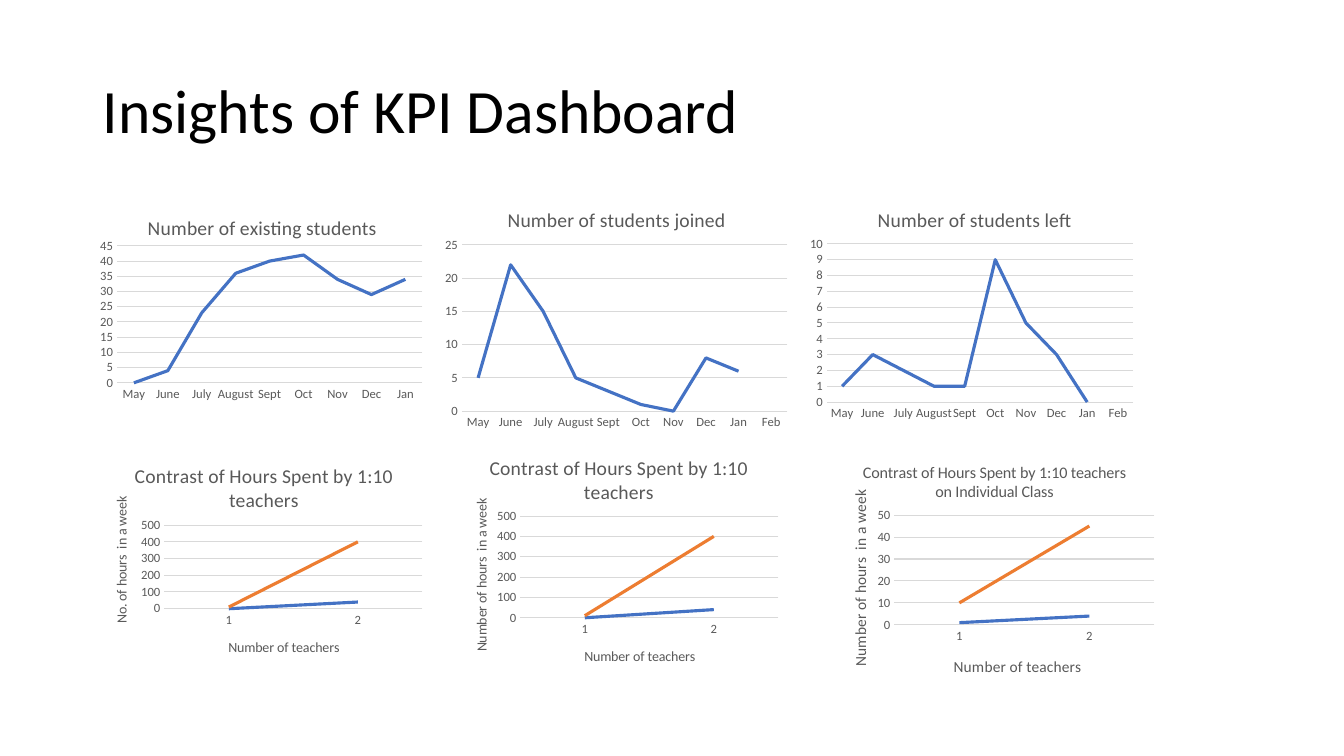
import lxml.etree
import pptx
import pptx.chart.data
import pptx.dml.color
import pptx.enum.chart
import pptx.enum.text
import pptx.oxml.ns
import pptx.util

Inches = pptx.util.Inches
Pt = pptx.util.Pt
qn = pptx.oxml.ns.qn

MONTHS = ["May", "June", "July", "August", "Sept", "Oct", "Nov", "Dec", "Jan", "Feb"]
CONTRAST = "Contrast of Hours Spent by 1:10 teachers"
YEARLY_HOURS = [[0, 40], [10, 400]]


def color(hex_value):
    return pptx.dml.color.RGBColor.from_string(hex_value)


class Dashboard:
    font = "Calibri"
    gray = "595959"
    grid = "D9D9D9"
    series_colors = ["4472C4", "ED7D31"]

    def __init__(self, presentation):
        self.slide = presentation.slides.add_slide(presentation.slide_layouts[5])

    def style(self, font, size, hex_value):
        font.name = self.font
        font.size = Pt(size)
        font.bold = False
        font.color.rgb = color(hex_value)

    def title(self, text, box):
        shape = self.slide.shapes.title
        shape.left, shape.top, shape.width, shape.height = map(Inches, box)
        frame = shape.text_frame
        frame.word_wrap = True
        frame.vertical_anchor = pptx.enum.text.MSO_ANCHOR.MIDDLE
        paragraph = frame.paragraphs[0]
        paragraph.alignment = pptx.enum.text.PP_ALIGN.LEFT
        paragraph.line_spacing = 0.9
        run = paragraph.add_run()
        run.text = text
        self.style(run.font, 44, "000000")

    def place(self, element, index, box, position, size=None):
        layout = element.find(qn("c:layout"))
        if layout is None:
            layout = lxml.etree.SubElement(element, qn("c:layout"))
            element.insert(index, layout)
        for child in list(layout):
            layout.remove(child)
        manual = lxml.etree.SubElement(layout, qn("c:manualLayout"))
        left, top, width, height = box
        entries = [("xMode", "edge"), ("yMode", "edge"),
                   ("x", (position[0] - left) / width), ("y", (position[1] - top) / height)]
        if size:
            entries.insert(0, ("layoutTarget", "inner"))
            entries += [("w", size[0] / width), ("h", size[1] / height)]
        for name, value in entries:
            text = value if isinstance(value, str) else f"{value:.4f}"
            lxml.etree.SubElement(manual, qn("c:" + name)).set("val", text)

    def heading(self, title, text, size, box, position):
        run = title.text_frame.paragraphs[0].add_run()
        run.text = text
        self.style(run.font, size, self.gray)
        self.place(title._element, 1, box, position)

    def axis(self, axis):
        axis.major_tick_mark = pptx.enum.chart.XL_TICK_MARK.NONE
        axis.minor_tick_mark = pptx.enum.chart.XL_TICK_MARK.NONE
        self.style(axis.tick_labels.font, 9, self.gray)

    def rule(self, line, hex_value, width):
        line.color.rgb = color(hex_value)
        line.width = Pt(width)

    def line_chart(self, box, plot, title, title_at, categories, names, rows, top, step, title_size=14):
        data = pptx.chart.data.CategoryChartData()
        data.categories = categories
        for name, values in zip(names, rows):
            data.add_series(name, values)
        chart = self.slide.shapes.add_chart(
            pptx.enum.chart.XL_CHART_TYPE.LINE, *map(Inches, box), data).chart
        self.style(chart.font, 10, "000000")
        chart.has_legend = False
        chart.has_title = True
        self.heading(chart.chart_title, title, title_size, box, title_at)
        chart.plots[0].vary_by_categories = False
        self.axis(chart.category_axis)
        self.rule(chart.category_axis.format.line, self.grid, 0.75)
        value_axis = chart.value_axis
        self.axis(value_axis)
        value_axis.format.line.fill.background()
        value_axis.minimum_scale = 0
        value_axis.maximum_scale = top
        value_axis.major_unit = step
        value_axis.has_major_gridlines = True
        self.rule(value_axis.major_gridlines.format.line, self.grid, 0.75)
        for series, hex_value in zip(chart.series, self.series_colors):
            series.smooth = False
            series.marker.style = pptx.enum.chart.XL_MARKER_STYLE.NONE
            self.rule(series.format.line, hex_value, 2.25)
        plot_area = chart._chartSpace.find(".//" + qn("c:plotArea"))
        self.place(plot_area, 0, box, plot[:2], plot[2:])
        return chart

    def student_chart(self, box, plot, title, title_at, values, top, step):
        self.line_chart(box, plot, title, title_at, MONTHS[:len(values)], [title], [values], top, step)

    def hours_chart(self, box, plot, title, title_at, rows, top, step, title_size,
                    value_title, value_at, category_at, axis_size):
        chart = self.line_chart(box, plot, title, title_at, ["1", "2"], ["Series 1", "Series 2"],
                                rows, top, step, title_size)
        self.heading(chart.category_axis.axis_title, "Number of teachers", axis_size, box, category_at)
        value_heading = chart.value_axis.axis_title
        self.heading(value_heading, value_title, axis_size, box, value_at)
        body = value_heading.text_frame._txBody.find(qn("a:bodyPr"))
        body.set("rot", "-5400000")
        body.set("vert", "horz")


def main():
    presentation = pptx.Presentation()
    presentation.slide_width = Inches(13.33)
    presentation.slide_height = Inches(7.5)
    dashboard = Dashboard(presentation)
    dashboard.title("Insights of KPI Dashboard", (0.92, 0.4, 11.5, 1.45))

    student_charts = [
        ((0.93, 1.95, 3.33, 2.08), (1.16, 2.44, 3.03, 1.36), "Number of existing students", (1.43, 2.09),
         [0, 4, 23, 36, 40, 42, 34, 29, 34], 45, 5),
        ((4.34, 1.85, 3.54, 2.47), (4.58, 2.43, 3.23, 1.65), "Number of students joined", (5, 2.01),
         [5, 22, 15, 5, 3, 1, 0, 8, 6, None], 25, 5),
        ((7.97, 1.85, 3.34, 2.37), (8.2, 2.42, 3.04, 1.57), "Number of students left", (8.67, 2.01),
         [1, 3, 2, 1, 1, 9, 5, 3, 0, None], 10, 1),
    ]
    hours_charts = [
        ((0.92, 4.42, 3.34, 2.28), (1.63, 5.21, 2.56, 0.83), CONTRAST, (1.3, 4.55), YEARLY_HOURS,
         500, 100, 14, "No. of hours  in a week", (1.09, 4.9), (2.24, 6.31), 10),
        ((4.44, 4.32, 3.34, 2.47), (5.16, 5.12, 2.56, 1.01), CONTRAST, (4.82, 4.47), YEARLY_HOURS,
         500, 100, 14, "Number of hours  in a week", (4.66, 4.92), (5.77, 6.4), 10),
        ((8.18, 4.42, 3.34, 2.47), (8.87, 5.11, 2.58, 1.09), CONTRAST + " on Individual Class", (8.53, 4.55),
         [[1, 4], [10, 45]], 50, 10, 11.5, "Number of hours  in a week", (8.4, 4.83), (9.43, 6.48), 11),
    ]
    for settings in student_charts:
        dashboard.student_chart(*settings)
    for settings in hours_charts:
        dashboard.hours_chart(*settings)
    presentation.save("out.pptx")


if __name__ == "__main__":
    main()
